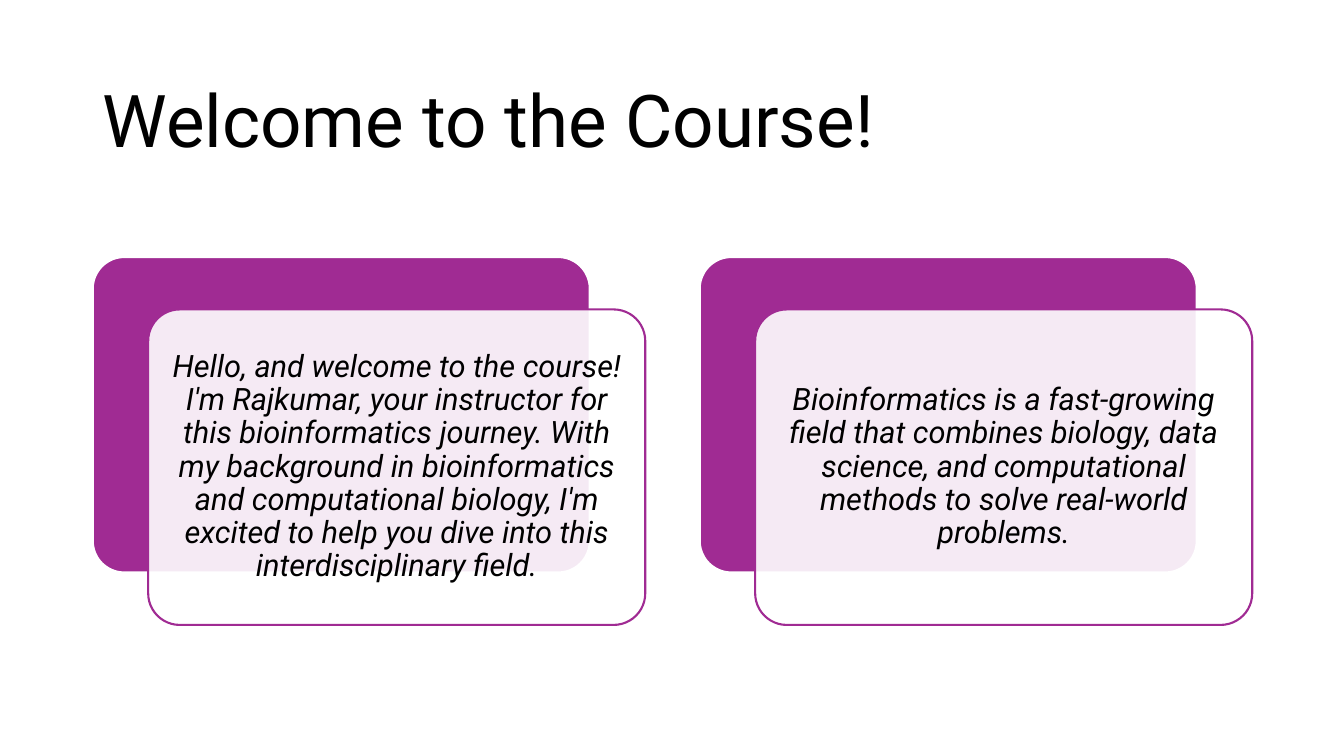
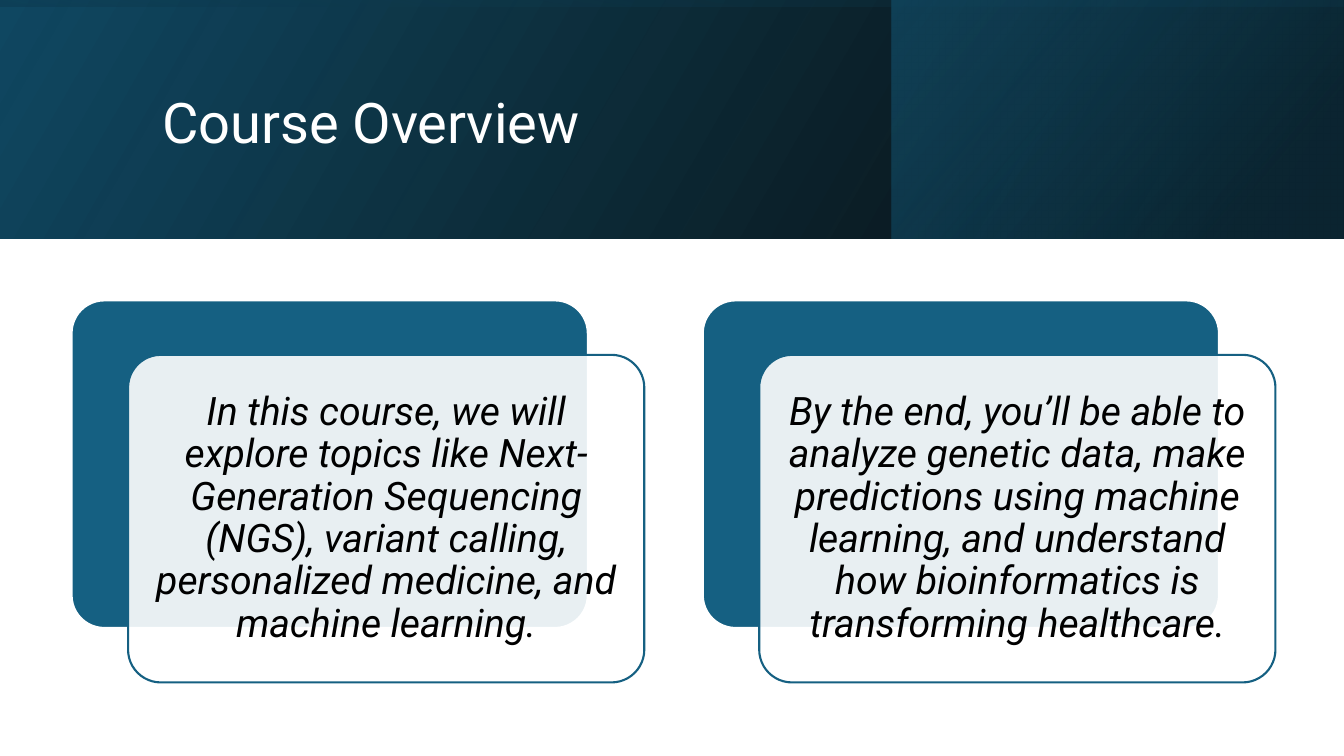
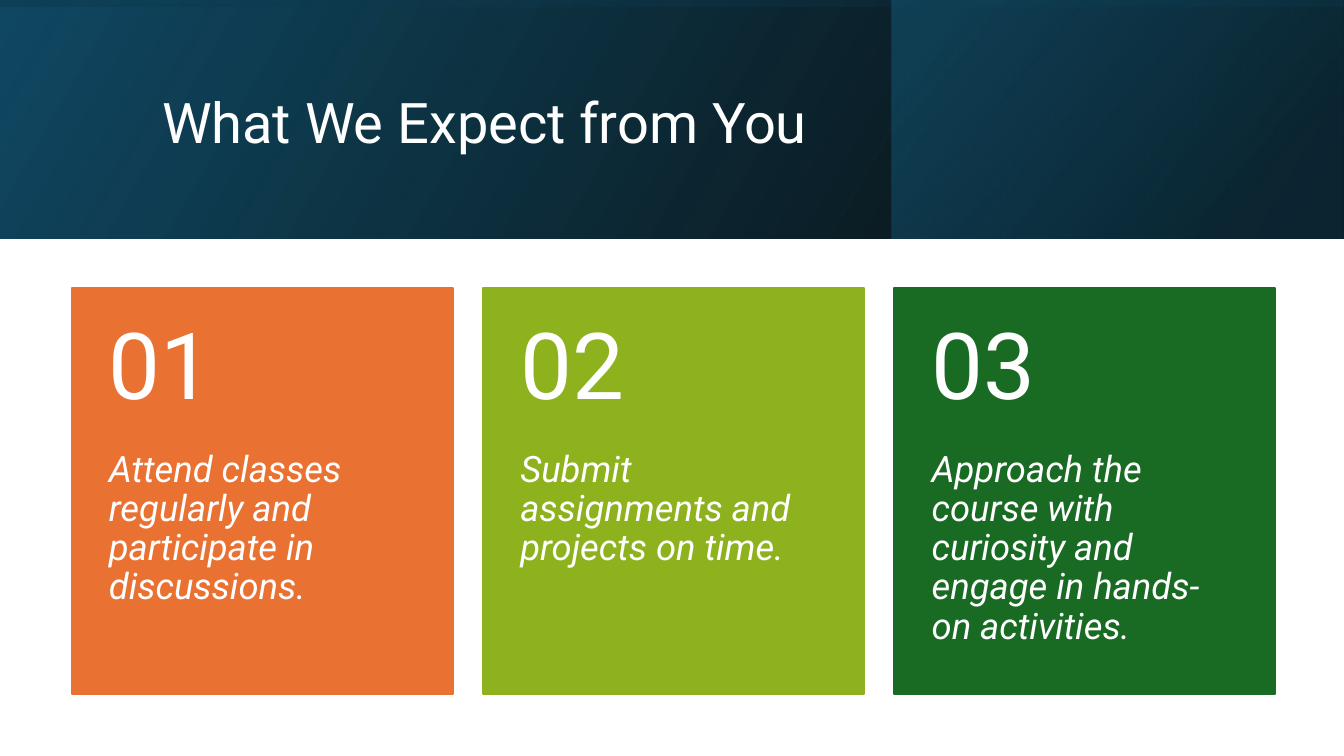
"""Build the three opening slides of a bioinformatics course."""
from lxml.etree import SubElement
from pptx import Presentation
from pptx.dml.color import RGBColor
from pptx.enum.shapes import MSO_SHAPE
from pptx.enum.text import MSO_ANCHOR, PP_ALIGN
from pptx.oxml.ns import qn
from pptx.util import Inches, Pt

FONT = "Roboto"
BLACK, WHITE = "000000", "FFFFFF"
PURPLE, BLUE, NAVY, DEEP_BLUE = "A02B93", "156082", "104862", "0B3041"

BANDS = [
    ((0, 0, 13.33, 2.37), 0, 30, [(0, BLACK, 96), (1, NAVY, 100)]),
    ((8.84, 0, 4.48, 2.37), 0, 40, [(0.19, DEEP_BLUE, 68), (1, BLUE, 48)]),
    ((5.48, -5.48, 2.37, 13.33), 270, 10, [(0.23, NAVY, 16), (0.99, BLACK, 45)]),
]


def add_box(slide, kind, box, fill=None, line=None):
    shape = slide.shapes.add_shape(kind, *map(Inches, box))
    shape.shadow.inherit = False
    if fill:
        shape.fill.solid()
        shape.fill.fore_color.rgb = RGBColor.from_string(fill)
    if line:
        shape.line.color.rgb = RGBColor.from_string(line)
        shape.line.width = Pt(1.5)
    else:
        shape.line.fill.background()
    return shape


def write_text(shape, text, size, color, insets=(0.1, 0.05), italic=False,
               align=PP_ALIGN.LEFT, anchor=MSO_ANCHOR.MIDDLE):
    frame = shape.text_frame
    frame.text = text
    frame.word_wrap = True
    frame.vertical_anchor = anchor
    frame.margin_left = frame.margin_right = Inches(insets[0])
    frame.margin_top = frame.margin_bottom = Inches(insets[1])
    paragraph = frame.paragraphs[0]
    paragraph.alignment = align
    paragraph.line_spacing = 0.9
    font = paragraph.runs[0].font
    font.name, font.size, font.italic = FONT, Pt(size), italic
    font.color.rgb = RGBColor.from_string(color)


presentation = Presentation()
presentation.slide_width, presentation.slide_height = Inches(13.33), Inches(7.5)
blank = presentation.slide_layouts[6]
welcome, overview, expectations = [presentation.slides.add_slide(blank) for _ in range(3)]

for slide in (overview, expectations):
    for box, rotation, angle, stops in BANDS:
        band = add_box(slide, MSO_SHAPE.RECTANGLE, box)
        band.rotation = rotation
        band.element.spPr.xfrm.set("flipH", "1")
        band.fill.gradient()
        band.fill.gradient_angle = angle
        for stop, (position, color, _) in zip(band.fill.gradient_stops, stops):
            stop.position = position
            stop.color.rgb = RGBColor.from_string(color)
        for node, (_, _, opacity) in zip(band.element.iter(qn("a:srgbClr")), stops):
            SubElement(node, qn("a:alpha"), val=str(opacity * 1000))

band_title = (1.51, 0.38, 10.63, 1.72)
for slide, title, box, size, color in [
    (welcome, "Welcome to the Course!", (0.92, 0.61, 11.5, 1.24), 52, BLACK),
    (overview, "Course Overview", band_title, 40, WHITE),
    (expectations, "What We Expect from You", band_title, 40, WHITE),
]:
    write_text(slide.shapes.add_textbox(*map(Inches, box)), title, size, color)

card_sets = [
    (welcome, PURPLE, (0.92, 2.55, 4.93, 3.13), 6.02, (0.55, 0.52), 22, 0.09, [
        "Hello, and welcome to the course! I'm Rajkumar, your instructor for this "
        "bioinformatics journey. With my background in bioinformatics and computational "
        "biology, I'm excited to help you dive into this interdisciplinary field.",
        "Bioinformatics is a fast-growing field that combines biology, data science, "
        "and computational methods to solve real-world problems.",
    ]),
    (overview, BLUE, (0.71, 2.98, 5.12, 3.25), 6.26, (0.56, 0.54), 28, 0.12, [
        "In this course, we will explore topics like Next-Generation Sequencing (NGS), "
        "variant calling, personalized medicine, and machine learning.",
        "By the end, you’ll be able to analyze genetic data, make predictions using "
        "machine learning, and understand how bioinformatics is transforming healthcare.",
    ]),
]
for slide, color, (left, top, width, height), step, (right, down), size, inset, texts in card_sets:
    for index, text in enumerate(texts):
        x = left + index * step
        back = add_box(slide, MSO_SHAPE.ROUNDED_RECTANGLE, (x, top, width, height), color, WHITE)
        front = add_box(slide, MSO_SHAPE.ROUNDED_RECTANGLE,
                        (x + right, top + down, width, height), WHITE, color)
        back.adjustments[0] = front.adjustments[0] = 0.1
        SubElement(next(front.element.iter(qn("a:srgbClr"))), qn("a:alpha"), val="90000")
        write_text(front, text, size, BLACK, (inset, inset), True, PP_ALIGN.CENTER)

panel_top, panel_width, number_height, body_height = 2.86, 3.78, 1.61, 2.42
panels = [
    ("E97132", "Attend classes regularly and participate in discussions."),
    ("8EB21E", "Submit assignments and projects on time."),
    ("196B24", "Approach the course with curiosity and engage in hands-on activities."),
]
for index, (color, text) in enumerate(panels):
    x = 0.71 + index * 4.08
    add_box(expectations, MSO_SHAPE.RECTANGLE,
            (x, panel_top, panel_width, number_height + body_height), color, color)
    body = expectations.shapes.add_textbox(
        *map(Inches, (x, panel_top + number_height, panel_width, body_height)))
    write_text(body, text, 26, WHITE, (0.37, 0), True, anchor=MSO_ANCHOR.TOP)
    number = expectations.shapes.add_textbox(
        *map(Inches, (x, panel_top, panel_width, number_height)))
    write_text(number, f"{index + 1:02}", 66, WHITE, (0.37, 0.18))

presentation.save("out.pptx")
